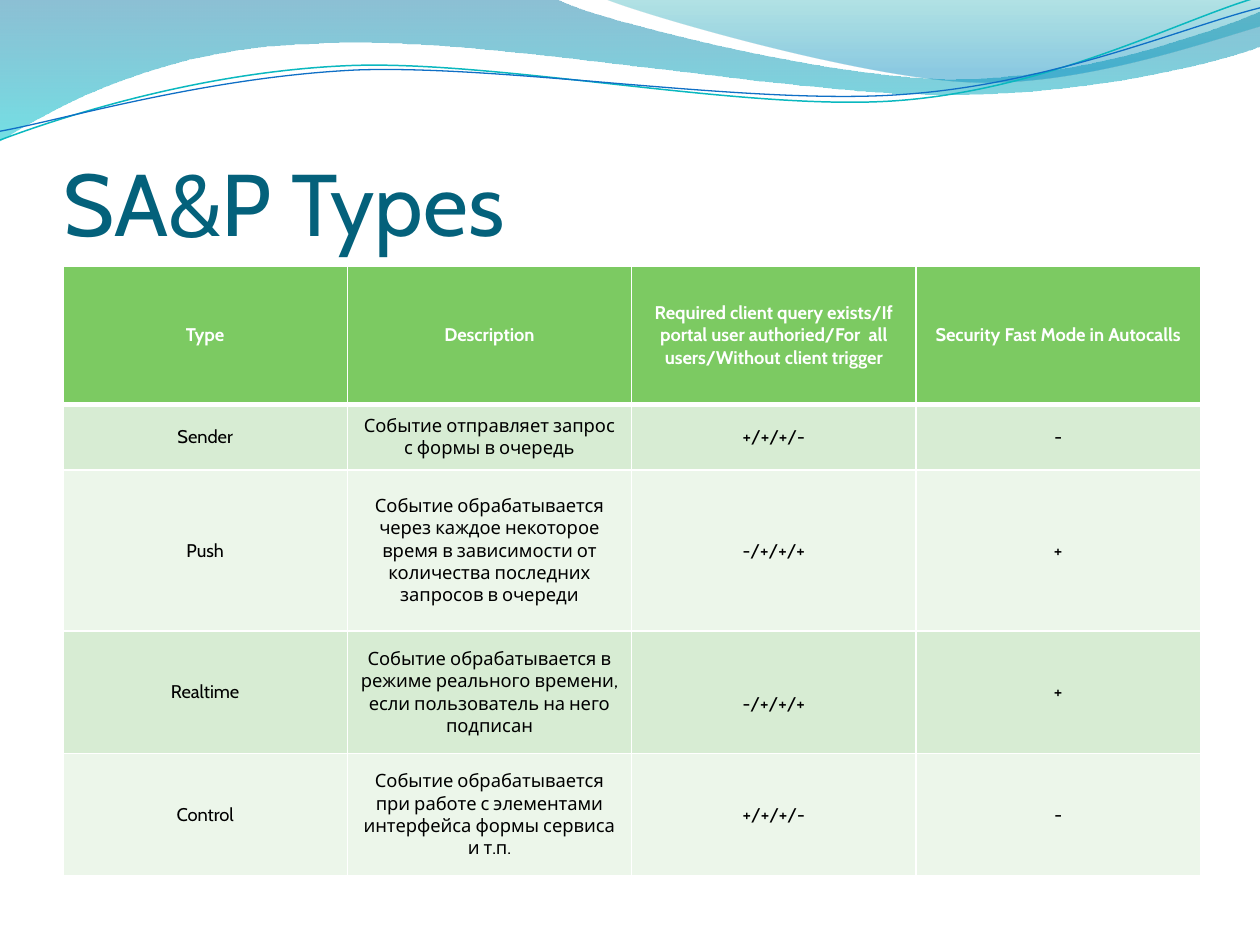
from math import cos, radians, sin

from pptx import Presentation
from pptx.dml.color import RGBColor
from pptx.enum.text import MSO_ANCHOR as Anchor, MSO_AUTO_SIZE as Fit, PP_ALIGN as Align
from pptx.oxml.ns import qn
from pptx.util import Pt
from lxml.etree import SubElement as Sub, Element

TEAL = RGBColor(0x04, 0x61, 0x7B)
GREEN = RGBColor(0x7C, 0xCA, 0x62)
MINT = RGBColor(0xD7, 0xEC, 0xD3)
PALE = RGBColor(0xEC, 0xF6, 0xEA)
WHITE = RGBColor(0xFF, 0xFF, 0xFF)
BLACK = RGBColor(0, 0, 0)
BLUE = RGBColor(0x0F, 0x6F, 0xC6)
CYAN = RGBColor(0x0A, 0xB8, 0xBF)
SEA = RGBColor(0x00, 0x74, 0xA1)
AQUA = RGBColor(0x00, 0xC6, 0xCF)
JADE = RGBColor(0x00, 0xA1, 0xA9)
SKY = RGBColor(0x00, 0x8B, 0xBF)

# Each wave is a start point, then line ends (2 numbers) or Bezier curves (6).
BAND = [(0, 0), (317, -1), (343, 12, 478, 45, 546, 45), (614, 45, 690, 19, 720, 6.5),
        (721, 26), (708, 32, 626, 55, 537, 54), (447, 54, 275, 20, 185, 24.5),
        (93, 26, 33, 60, -1, 81), (0, 0)]
CREST = [(345, -1), (366, 8, 491, 44.5, 554, 47), (616, 50, 692, 23, 720, 15),
         (720, 0), (345, -1)]
UPPER = [(0, 80), (34.5, 67, 114, 41, 199, 37.5), (284, 34, 427, 64, 513, 57.5),
         (600, 51, 675, 11, 718.5, -1.5)]
LOWER = [(0, 75), (34, 69, 118, 44, 204, 40), (290, 37, 430, 60.5, 516, 54),
         (602, 48, 677.5, 15, 720, 4.5)]
TILT = 2.7

ROWS = [
    ("Type", "Description",
     "Required client query exists/If portal user authoried/For  all users/Without client trigger",
     "Security Fast Mode in Autocalls"),
    ("Sender", "Событие отправляет запрос с формы в очередь", "+/+/+/-", "-"),
    ("Push", "Событие обрабатывается через каждое некоторое время в зависимости от "
     "количества последних запросов в очереди", "-/+/+/+", "+"),
    ("Realtime", "Событие обрабатывается в режиме реального времени, если пользователь "
     "на него подписан", "-/+/+/+", "+"),
    ("Control", "Событие обрабатывается при работе с элементами интерфейса формы "
     "сервиса и т.п.", "+/+/+/-", "-"),
]
HEIGHTS = [79, 37.5, 92, 70, 70]


def pairs(step):
    return list(zip(step[::2], step[1::2]))


def turn(steps, mid, angle):
    """Turn every point of the steps clockwise about mid."""
    c, s = cos(radians(angle)), sin(radians(angle))
    turned = []
    for step in steps:
        spots = [(x - mid[0], y - mid[1]) for x, y in pairs(step)]
        turned.append(tuple(n for x, y in spots
                            for n in (mid[0] + x * c - y * s, mid[1] + x * s + y * c)))
    return turned


def bend(shape, steps):
    """Join each three line ends that belong to one curve into a Bezier."""
    ends = iter(list(shape.element.iter(qn("a:lnTo"))))
    for step in steps[1:]:
        group = [next(ends) for _ in pairs(step)]
        if len(group) == 3:
            curve = Element(qn("a:cubicBezTo"))
            group[0].addprevious(curve)
            for end in group:
                curve.append(end[0])
                end.getparent().remove(end)


def edge(cell, widths):
    """Draw white cell borders; widths run left, right, top, bottom."""
    props = cell._tc.get_or_add_tcPr()
    for spot, (side, width) in enumerate(zip("LRTB", widths)):
        line = Element(qn("a:ln" + side), w=str(Pt(width)))
        Sub(Sub(line, qn("a:solidFill")), qn("a:srgbClr"), val=str(WHITE))
        props.insert(spot, line)


class Deck:
    font = "Cabin"

    def __init__(self):
        self.prs = Presentation()
        self.prs.slide_width, self.prs.slide_height = Pt(720), Pt(540)
        self.slide = self.prs.slides.add_slide(self.prs.slide_layouts[5])

    def style(self, para, size, color, bold=False):
        for run in para.runs:
            font = run.font
            font.name, font.size, font.bold = self.font, Pt(size), bold
            font.color.rgb = color

    def shape(self, steps, close):
        """Add an outline behind the title."""
        points = [(Pt(x), Pt(y)) for step in steps for x, y in pairs(step)]
        pen = self.slide.shapes.build_freeform(*points[0], scale=1.0)
        pen.add_line_segments(points[1:], close=close)
        shape = pen.convert_to_shape()
        bend(shape, steps)
        shape.shadow.inherit = False
        self.slide.shapes.title.element.addprevious(shape.element)
        return shape

    def wave(self, steps, stops):
        """Fill a wave downwards; each stop is place, colour, opacity in percent."""
        shape = self.shape(steps, True)
        shape.line.fill.background()
        shape.fill.gradient()
        shape.fill.gradient_angle = 270
        for stop, (place, color, _) in zip(shape.fill.gradient_stops, stops):
            stop.position, stop.color.rgb = place, color
        tints = shape.element.spPr.iter(qn("a:srgbClr"))
        for tint, (_, _, alpha) in zip(tints, stops):
            Sub(tint, qn("a:alpha"), val=str(alpha * 1000))

    def curve(self, steps, mid, color, width):
        shape = self.shape(turn(steps, mid, TILT), False)
        shape.rotation = -TILT
        shape.fill.background()
        shape.line.color.rgb, shape.line.width = color, Pt(width)

    def title(self, text):
        box = self.slide.shapes.title
        box.left, box.top, box.width, box.height = Pt(36), Pt(55), Pt(648), Pt(90)
        frame = box.text_frame
        frame.text = text
        frame.auto_size, frame.vertical_anchor = Fit.NONE, Anchor.BOTTOM
        frame.margin_left = frame.margin_right = frame.margin_bottom = 0
        frame.margin_top = Pt(3.6)
        para = frame.paragraphs[0]
        para.alignment = Align.LEFT
        self.style(para, 50, TEAL)

    def table(self, rows, heights, width):
        cols = len(rows[0])
        grid = self.slide.shapes.add_table(len(rows), cols, Pt(36), Pt(152.2),
                                           Pt(width * cols), Pt(sum(heights))).table
        for col in grid.columns:
            col.width = Pt(width)
        for i, (texts, height) in enumerate(zip(rows, heights)):
            grid.rows[i].height = Pt(height)
            head = i == 0
            fill = GREEN if head else MINT if i % 2 else PALE
            for j, text in enumerate(texts):
                cell = grid.cell(i, j)
                cell.text_frame.text = text
                cell.vertical_anchor = Anchor.MIDDLE
                cell.fill.solid()
                cell.fill.fore_color.rgb = fill
                para = cell.text_frame.paragraphs[0]
                para.alignment = Align.CENTER
                self.style(para, 10.5, WHITE if head else BLACK, head)
                edge(cell, (1, 1, 3 if i == 1 else 1, 3 if head else 1))
        return grid


def main():
    deck = Deck()
    deck.wave(BAND, [(0, SEA, 45), (1, AQUA, 55)])
    deck.wave(CREST, [(0, JADE, 30), (0.8, SKY, 45)])
    deck.curve(UPPER, (359, 41.4), CYAN, 0.85)
    deck.curve(LOWER, (359.6, 42.5), BLUE, 0.75)
    deck.title("SA&P Types")
    grid = deck.table(ROWS, HEIGHTS, 162.5)
    grid.cell(3, 2).margin_top = Pt(16.5)  # sits half a line below its row
    deck.prs.save("out.pptx")


if __name__ == "__main__":
    main()
